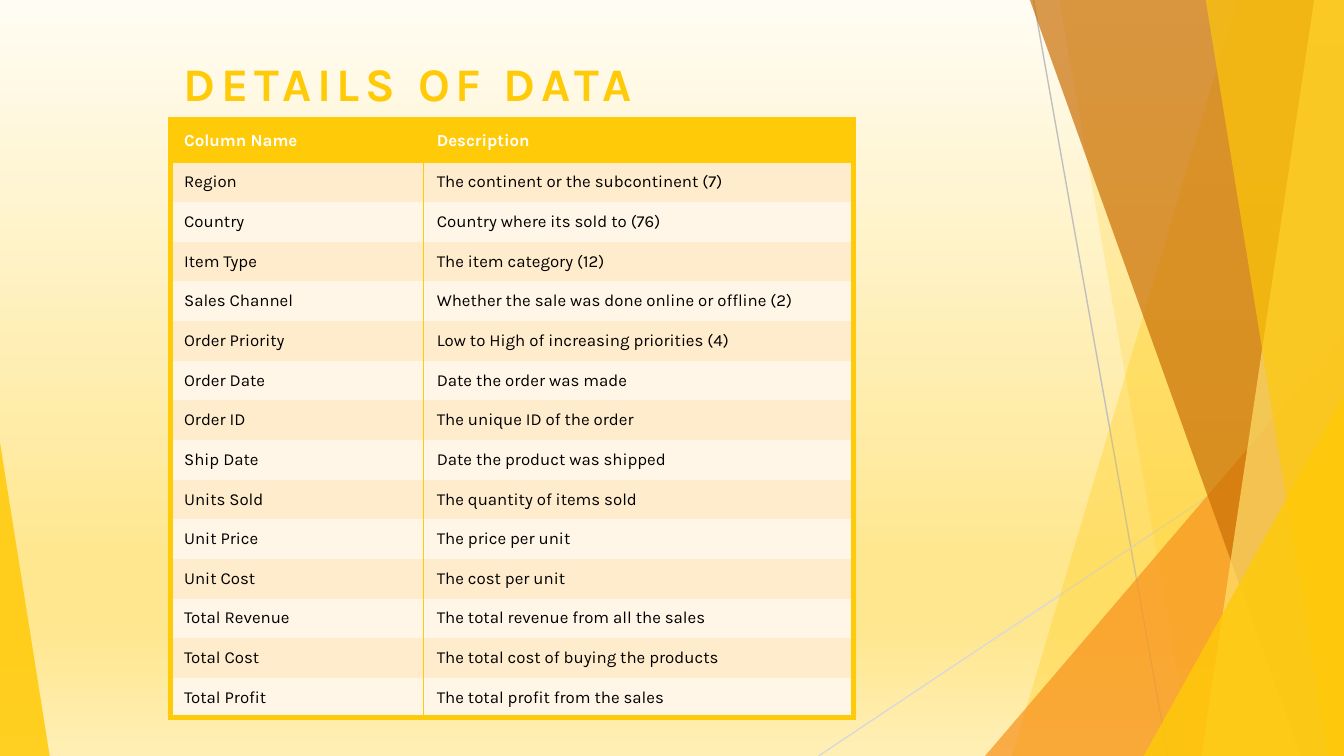
import lxml.etree
import pptx
import pptx.dml.color
import pptx.enum.shapes
import pptx.enum.text
import pptx.oxml.ns
import pptx.util

Inches, Pt = pptx.util.Inches, pptx.util.Pt
qn = pptx.oxml.ns.qn
WIDTH, HEIGHT = 10, 5.625
GOLD = "FFCA08"


def rgb(value):
    return pptx.dml.color.RGBColor.from_string(value)


def add_color(parent, value, alpha=None):
    """Append an a:srgbClr, with opacity in percent, to an XML element."""
    clr = lxml.etree.SubElement(parent, qn("a:srgbClr"), val=value)
    if alpha is not None:
        lxml.etree.SubElement(clr, qn("a:alpha"), val=str(alpha * 1000))


prs = pptx.Presentation()
prs.slide_width, prs.slide_height = Inches(WIDTH), Inches(HEIGHT)
s = prs.slides.add_slide(prs.slide_layouts[6])

# Background gradient, top to bottom
fill = s.background.fill
fill.gradient()
fill.gradient_angle = 270
stops = s.element.find(".//" + qn("a:gsLst"))
for stop in list(stops):
    stops.remove(stop)
for pos, color in [(0, "FFFCF3"), (74, "FFE790"), (83, "FFE790"), (100, "FFEFB5")]:
    add_color(lxml.etree.SubElement(stops, qn("a:gs"), pos=str(pos * 1000)), color)

# Thin crossing lines
for x1, y1, x2, y2, color in [
    (7.69, 0, 8.69, HEIGHT, "BFBFBF"),
    (WIDTH, 3.02, 6.09, HEIGHT, "D9D9D9"),
]:
    line = s.shapes.add_connector(
        pptx.enum.shapes.MSO_CONNECTOR.STRAIGHT,
        Inches(x1), Inches(y1), Inches(x2), Inches(y2))
    line.line.color.rgb = rgb(color)
    line.line.width = Pt(0.75)
    lxml.etree.SubElement(line.element.spPr, qn("a:effectLst"))

# Facets, back to front. Bands: top x, bottom x, both reaching the right edge.
# Triangles: left, top, width, apex position, standing on the bottom edge.
facets = [
    ("band", (9.21, 7.53), GOLD, 30),
    ("band", (7.88, 8.87), GOLD, 20),
    ("triangle", (7.33, 2.5, 2.67, 1), "F8931D", 72),
    ("band", (7.66, 9.68), "CA6F06", 70),
    ("band", (9.78, 8.94), "FFDF6B", 70),
    ("band", (8.97, 9.88), GOLD, 65),
    ("triangle", (8.51, 2.94, 1.49, 1), GOLD, 80),
    ("triangle", (0, 3.29, 0.37, 0), GOLD, 85),
]
for kind, geometry, color, alpha in facets:
    if kind == "band":
        top_x, bottom_x = geometry
        corners = [(top_x, -0.01), (WIDTH, -0.01), (WIDTH, HEIGHT), (bottom_x, HEIGHT)]
        points = [(Inches(x), Inches(y)) for x, y in corners]
        builder = s.shapes.build_freeform(*points[0])
        builder.add_line_segments(points[1:], close=True)
        sp = builder.convert_to_shape()
    else:
        left, top, width, apex = geometry
        sp = s.shapes.add_shape(
            pptx.enum.shapes.MSO_SHAPE.ISOSCELES_TRIANGLE,
            Inches(left), Inches(top), Inches(width), Inches(HEIGHT - top))
        sp.adjustments[0] = apex
    sp.shadow.inherit = False
    sp.line.fill.background()
    sp.fill.solid()
    sp.fill.fore_color.rgb = rgb(color)
    solid = sp.element.spPr.find(qn("a:solidFill"))
    solid.remove(solid[0])
    add_color(solid, color, alpha)

# Title
title = s.shapes.add_textbox(Inches(1.27), Inches(0.31), Inches(3.6), Inches(0.66))
tf = title.text_frame
tf.word_wrap = True
tf.margin_left = tf.margin_right = tf.margin_top = tf.margin_bottom = Inches(0.1)
tf.text = "DETAILS OF DATA"
r = tf.paragraphs[0].runs[0]
r.font.name, r.font.size, r.font.bold = "Karla", Pt(25), True
r.font.color.rgb = rgb(GOLD)
title.element.find(".//" + qn("a:rPr")).set("spc", "300")

# Table
rows = [
    ("Column Name", "Description"),
    ("Region", "The continent or the subcontinent (7)"),
    ("Country", "Country where its sold to (76)"),
    ("Item Type", "The item category (12)"),
    ("Sales Channel", "Whether the sale was done online or offline (2)"),
    ("Order Priority", "Low to High of increasing priorities (4)"),
    ("Order Date", "Date the order was made"),
    ("Order ID", "The unique ID of the order"),
    ("Ship Date", "Date the product was shipped"),
    ("Units Sold", "The quantity of items sold"),
    ("Unit Price", "The price per unit"),
    ("Unit Cost", "The cost per unit"),
    ("Total Revenue", "The total revenue from all the sales"),
    ("Total Cost", "The total cost of buying the products"),
    ("Total Profit", "The total profit from the sales"),
]
header_height, table_height = 0.32, 4.45
last = len(rows) - 1
body_height = (table_height - header_height) / last
frame = s.shapes.add_table(
    len(rows), 2, Inches(1.27), Inches(0.89), Inches(5.08), Inches(table_height))
table = frame.table
NO_STYLE = "{2D5ABB26-0587-4C30-8999-92F81FD0307C}"
frame.element.find(".//" + qn("a:tableStyleId")).text = NO_STYLE
table.columns[0].width, table.columns[1].width = Inches(1.88), Inches(3.2)

for i, row in enumerate(rows):
    table.rows[i].height = Inches(body_height if i else header_height)
    for j, text in enumerate(row):
        cell = table.cell(i, j)
        cell.text = text
        cell.vertical_anchor = pptx.enum.text.MSO_ANCHOR.MIDDLE
        font = cell.text_frame.paragraphs[0].runs[0].font
        font.name, font.size, font.bold = "Karla", Pt(9), i == 0
        font.color.rgb = rgb("000000" if i else "FFFFFF")
        cell.fill.solid()
        band = "FFECCC" if i % 2 else "FFF6E7"
        cell.fill.fore_color.rgb = rgb(band if i else GOLD)

# Thick outer frame, thin divider between the columns
for n, tc_pr in enumerate(frame.element.iter(qn("a:tcPr"))):
    i, j = divmod(n, 2)
    borders = [("L", 0.5 if j else 3), ("R", 3 if j else 0.5)]
    if i == 0:
        borders.append(("T", 3))
    if i == last:
        borders.append(("B", 3))
    for k, (side, width) in enumerate(borders):
        ln = lxml.etree.Element(
            qn("a:ln" + side), w=str(Pt(width)), cap="flat", cmpd="sng", algn="ctr")
        add_color(lxml.etree.SubElement(ln, qn("a:solidFill")), GOLD)
        lxml.etree.SubElement(ln, qn("a:prstDash"), val="solid")
        tc_pr.insert(k, ln)

prs.save("out.pptx")
